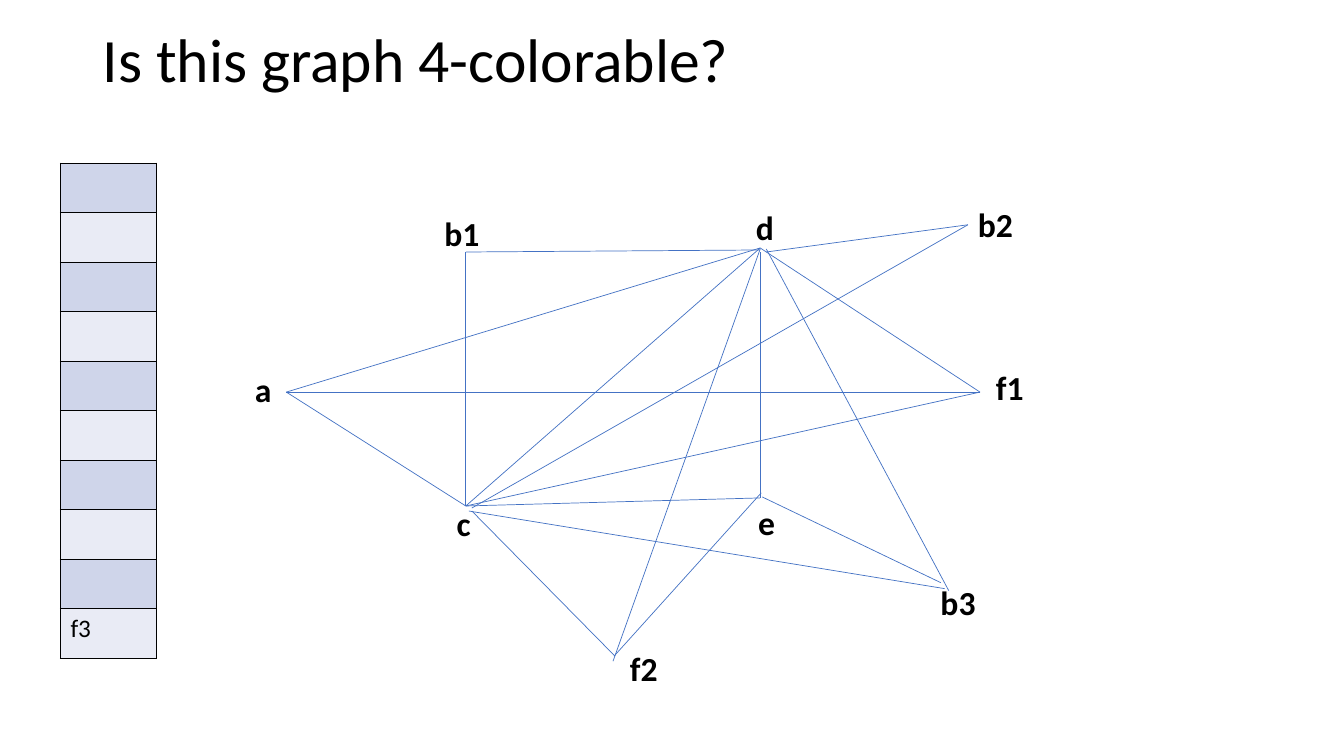
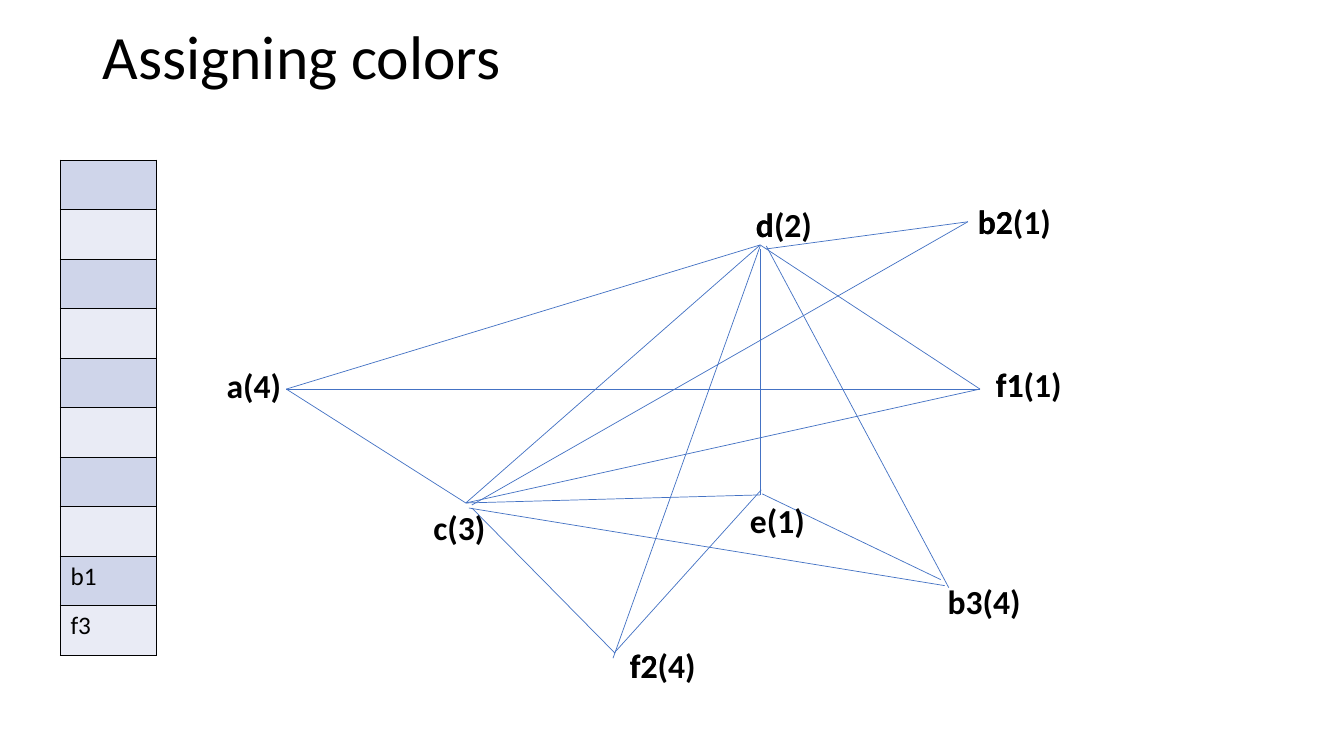
from typing import NamedTuple

from lxml import etree
from pptx import Presentation
from pptx import util as u
from pptx.dml.color import RGBColor
from pptx.enum import shapes, text
from pptx.oxml import ns

FONT = "Calibri"
BLACK, BLUE = "000000", "4472C4"
BANDS = ("CFD5EA", "E9EBF5")
ROWS = 10


class Edge(NamedTuple):
    x1: float
    y1: float
    x2: float
    y2: float


class Label(NamedTuple):
    name: str
    x: float
    y: float
    w: float = 0.87


class Page(NamedTuple):
    title: str
    rise: float  # how far the whole page sits above the first one
    edges: list[Edge]
    labels: list[Label]
    stack: list[str]  # names at the bottom of the stack


# Edges of the graph
CORE = [
    Edge(7.54, 2.46, 9.72, 3.89),  # d-f1
    Edge(4.62, 5.02, 9.72, 3.89),  # c-f1
    Edge(4.62, 5.02, 7.54, 2.46),  # c-d
    Edge(2.84, 3.89, 7.54, 2.46),  # a-d
    Edge(2.84, 3.89, 4.62, 5.02),  # a-c
    Edge(2.84, 3.89, 9.72, 3.89),  # a-f1
    Edge(7.54, 2.5, 7.54, 4.94),  # d-e
    Edge(4.62, 5.02, 7.54, 4.94),  # c-e
    Edge(4.68, 5.04, 9.6, 2.23),  # c-b2
    Edge(7.6, 2.5, 9.6, 2.23),  # d-b2
    Edge(7.56, 4.93, 9.33, 5.78),  # e-b3
    Edge(4.65, 5.07, 9.37, 5.84),  # c-b3
    Edge(7.6, 2.47, 9.41, 5.86),  # d-b3
    Edge(7.54, 2.47, 6.08, 6.56),  # d-f2
    Edge(4.68, 5.07, 6.1, 6.51),  # c-f2
    Edge(7.55, 4.89, 6.09, 6.51),  # e-f2
]
B1 = [
    Edge(4.62, 2.5, 4.62, 5.02),  # b1-c
    Edge(4.62, 2.5, 7.54, 2.48),  # b1-d
]

# Labels that stay in place on both pages
FIXED = [
    Label("d", 7.4, 2), Label("f1", 9.78, 3.59),
    Label("b2", 9.6, 1.97), Label("f2", 6.15, 6.38),
]

PAGES = [
    Page(
        "Is this graph 4-colorable?", 0, CORE + B1,
        FIXED + [
            Label("a", 2.43, 3.61), Label("b1", 4.31, 2.06),
            Label("e", 7.42, 4.93), Label("c", 4.43, 4.94),
            Label("b3", 9.23, 5.72),
        ],
        ["f3"],
    ),
    Page(
        "Assigning colors", 0.03, CORE,
        FIXED + [
            Label("a(4)", 2.15, 3.6), Label("d(2)", 7.4, 2),
            Label("f1(1)", 9.78, 3.59), Label("e(1)", 7.34, 4.94),
            Label("c(3)", 4.2, 5.01), Label("b3(4)", 9.3, 5.74, 1.24),
            Label("b2(1)", 9.6, 1.97, 1.24), Label("f2(4)", 6.15, 6.38),
        ],
        ["b1", "f3"],
    ),
]


def color(code: str) -> RGBColor:
    return RGBColor.from_string(code)


def write(frame, words: str, *, size: float, bold: bool = False,
          space: float = 1, anchor=text.MSO_ANCHOR.TOP) -> None:
    """Put one formatted paragraph into a text frame."""
    frame.word_wrap = True
    frame.vertical_anchor = anchor
    para = frame.paragraphs[0]
    para.line_spacing = space
    run = para.add_run()
    run.text = words
    font = run.font
    font.name, font.size, font.bold = FONT, u.Pt(size), bold
    font.color.rgb = color(BLACK)


def box(slide, x: float, y: float, w: float, h: float):
    spot = map(u.Inches, (x, y, w, h))
    return slide.shapes.add_textbox(*spot).text_frame


def draw_edge(slide, edge: Edge, rise: float) -> None:
    ends = (edge.x1, edge.y1 - rise, edge.x2, edge.y2 - rise)
    line = slide.shapes.add_connector(
        shapes.MSO_CONNECTOR.STRAIGHT, *map(u.Inches, ends))
    line.line.color.rgb = color(BLUE)
    line.line.width = u.Pt(0.5)
    etree.SubElement(line._element.spPr, ns.qn("a:effectLst"))


def draw_label(slide, label: Label, rise: float) -> None:
    frame = box(slide, label.x, label.y - rise, label.w, 0.5)
    write(frame, label.name, size=24, bold=True)
    frame.auto_size = text.MSO_AUTO_SIZE.SHAPE_TO_FIT_TEXT


def border(cell) -> None:
    props = cell._tc.get_or_add_tcPr()
    for side in ("lnL", "lnR", "lnT", "lnB"):
        line = etree.SubElement(props, ns.qn(f"a:{side}"), w=str(u.Pt(1)))
        fill = etree.SubElement(line, ns.qn("a:solidFill"))
        etree.SubElement(fill, ns.qn("a:srgbClr"), val=BLACK)


def draw_stack(slide, names: list[str], rise: float) -> None:
    spot = map(u.Inches, (0.6, 1.62 - rise, 0.95, 4.91))
    table = slide.shapes.add_table(ROWS, 1, *spot).table
    table.first_row = table.horz_banding = False
    words = [""] * (ROWS - len(names)) + names
    for row, word in enumerate(words):
        cell = table.cell(row, 0)
        border(cell)
        cell.fill.solid()
        cell.fill.fore_color.rgb = color(BANDS[row % 2])
        if word:
            write(cell.text_frame, word, size=18)


def draw_page(deck, page: Page) -> None:
    slide = deck.slides.add_slide(deck.slide_layouts[6])
    write(box(slide, 0.92, -0.1 - page.rise, 11.5, 1.45), page.title,
          size=44, space=0.9, anchor=text.MSO_ANCHOR.MIDDLE)
    for edge in page.edges:
        draw_edge(slide, edge, page.rise)
    for label in page.labels:
        draw_label(slide, label, page.rise)
    draw_stack(slide, page.stack, page.rise)


def main() -> None:
    deck = Presentation()
    deck.slide_width, deck.slide_height = u.Inches(13.33), u.Inches(7.5)
    for page in PAGES:
        draw_page(deck, page)
    deck.save("out.pptx")


if __name__ == "__main__":
    main()
